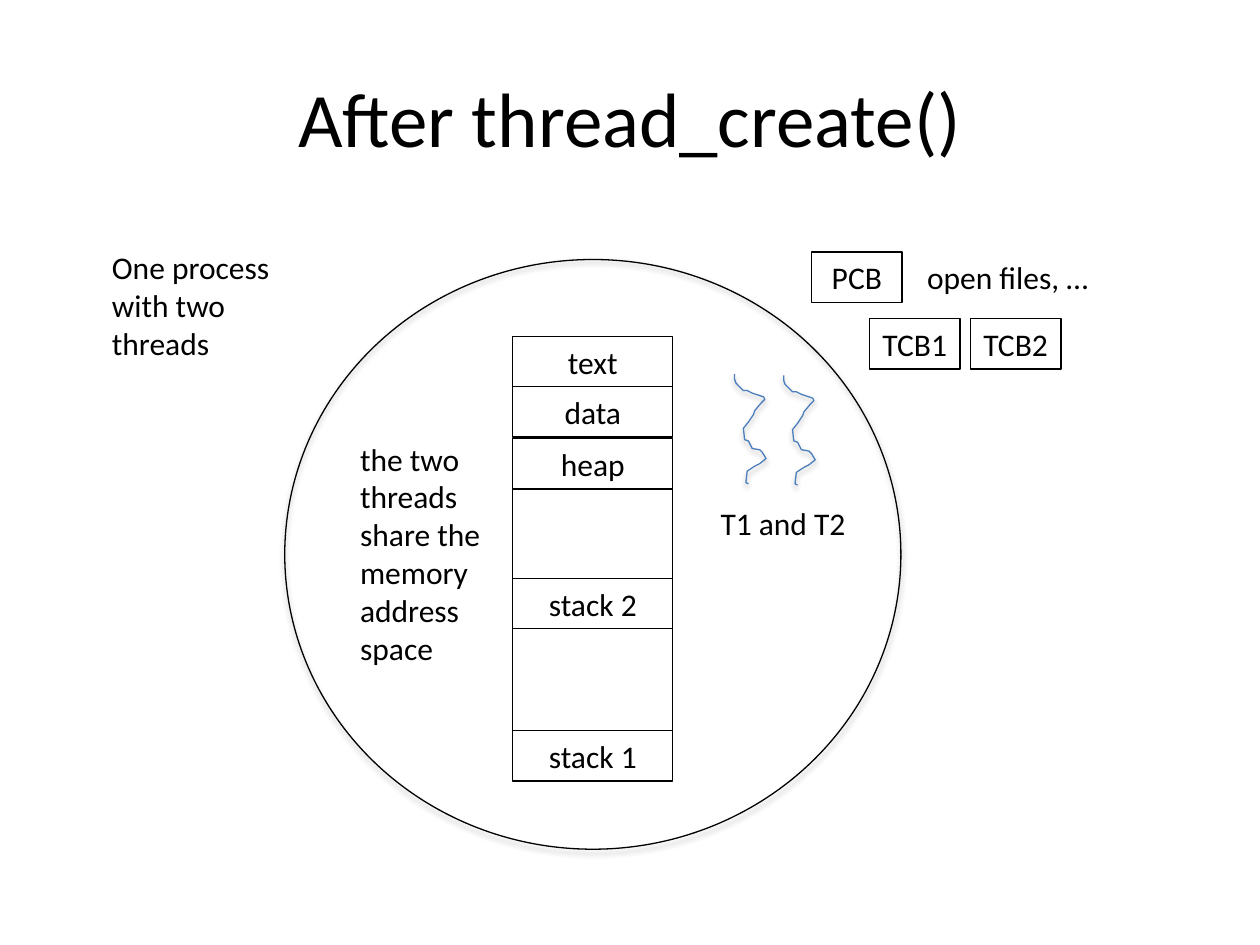
from dataclasses import dataclass

from lxml.etree import SubElement
from pptx import Presentation
from pptx.dml.color import RGBColor
from pptx.enum.shapes import MSO_SHAPE
from pptx.enum.text import MSO_ANCHOR, PP_ALIGN
from pptx.oxml.ns import qn
from pptx.util import Inches, Pt


@dataclass(frozen=True)
class Theme:
    ink: RGBColor = RGBColor(0, 0, 0)
    thread: RGBColor = RGBColor(0x4B, 0x7E, 0xBC)
    font: str = "Calibri"
    title_size: int = 44
    body_size: int = 18
    line_width: float = 0.75


THEME = Theme()
ROW_HEIGHT = 0.4
MEMORY_LEFT, MEMORY_WIDTH = 4.07, 1.27
MEMORY_ROWS = [("text", 2.67), ("data", 3.07), ("heap", 3.48), ("stack 1", 5.8)]
CONTROL_BLOCKS = [("PCB", 6.44, 2), ("TCB1", 6.9, 2.53), ("TCB2", 7.7, 2.53)]

# Thread squiggle, in hundredths of an inch from its start
SQUIGGLE = [
    (0, 0), (0, 4), (1, 7), (7, 13), (10, 13), (14, 15), (23, 18), (24, 20),
    (21, 23), (16, 29), (15, 32), (11, 38), (7, 43), (8, 52), (11, 53),
    (14, 59), (20, 60), (22, 62), (25, 67), (20, 71), (16, 73), (10, 77),
    (9, 86), (11, 87),
]
THREAD_STARTS = [(583, 297), (622, 298)]


def box_of(left, top, width, height):
    return [Inches(length) for length in (left, top, width, height)]


def write_text(frame, lines, size=THEME.body_size, align=PP_ALIGN.LEFT, **frame_format):
    for name, value in frame_format.items():
        setattr(frame, name, value)
    frame.text = "\n".join(lines)
    font_format = {"name": THEME.font, "size": Pt(size)}
    for paragraph in frame.paragraphs:
        paragraph.alignment = align
        for name, value in font_format.items():
            setattr(paragraph.font, name, value)
        paragraph.font.color.rgb = THEME.ink


def outline(part, color=THEME.ink, shadowed=False):
    part.fill.background()
    part.line.color.rgb = color
    part.line.width = Pt(THEME.line_width)
    part.shadow.inherit = False
    if shadowed:
        effects = part._element.spPr.find(qn("a:effectLst"))
        shadow = SubElement(effects, qn("a:outerShdw"), blurRad="40000",
                            dist="23000", dir="5400000", rotWithShape="0")
        black = SubElement(shadow, qn("a:srgbClr"), val=str(THEME.ink))
        SubElement(black, qn("a:alpha"), val="35000")


def add_box(slide, label, left, top, width, height=ROW_HEIGHT):
    box = slide.shapes.add_shape(MSO_SHAPE.RECTANGLE, *box_of(left, top, width, height))
    outline(box)
    if label:
        write_text(box.text_frame, [label], align=PP_ALIGN.CENTER,
                   word_wrap=True, vertical_anchor=MSO_ANCHOR.TOP)


def add_note(slide, lines, left, top, width, height=ROW_HEIGHT):
    note = slide.shapes.add_textbox(*box_of(left, top, width, height))
    write_text(note.text_frame, lines, word_wrap=False)


def add_thread(slide, start_x, start_y):
    points = [(start_x + x, start_y + y) for x, y in SQUIGGLE]
    builder = slide.shapes.build_freeform(*points[0], scale=Inches(0.01))
    builder.add_line_segments(points[1:], close=False)
    outline(builder.convert_to_shape(), THEME.thread, shadowed=True)


def add_title(slide, text):
    title = slide.shapes.title
    title.left, title.top, title.width, title.height = box_of(0.5, 0.3, 9, 1.25)
    write_text(title.text_frame, [text], THEME.title_size, PP_ALIGN.CENTER,
               vertical_anchor=MSO_ANCHOR.MIDDLE)


def main():
    deck = Presentation()
    deck.slide_width, deck.slide_height = Inches(10), Inches(7.5)
    slide = deck.slides.add_slide(deck.slide_layouts[5])
    add_title(slide, "After thread_create()")

    # Process
    process = slide.shapes.add_shape(MSO_SHAPE.OVAL, *box_of(2.26, 2.06, 4.89, 4.68))
    outline(process, shadowed=True)

    # Address space, with the second stack inside the free region
    for label, top in MEMORY_ROWS:
        add_box(slide, label, MEMORY_LEFT, top, MEMORY_WIDTH)
    add_box(slide, "", MEMORY_LEFT, 3.88, MEMORY_WIDTH, 1.92)
    add_box(slide, "stack 2", MEMORY_LEFT, 4.59, MEMORY_WIDTH)

    # Control blocks
    for label, left, top in CONTROL_BLOCKS:
        add_box(slide, label, left, top, 0.72)

    # Threads
    for start in THREAD_STARTS:
        add_thread(slide, *start)

    # Notes
    add_note(slide, ["T1 and T2"], 5.62, 3.95, 1.21)
    add_note(slide, ["the two", "threads", "share the", "memory", "address", "space"],
             2.76, 3.44, 1.17, 1.92)
    add_note(slide, ["open files, …"], 7.26, 2, 1.5)
    add_note(slide, ["One process", "with two", "threads"], 0.79, 1.92, 1.47, 1.01)

    deck.save("out.pptx")


main()
